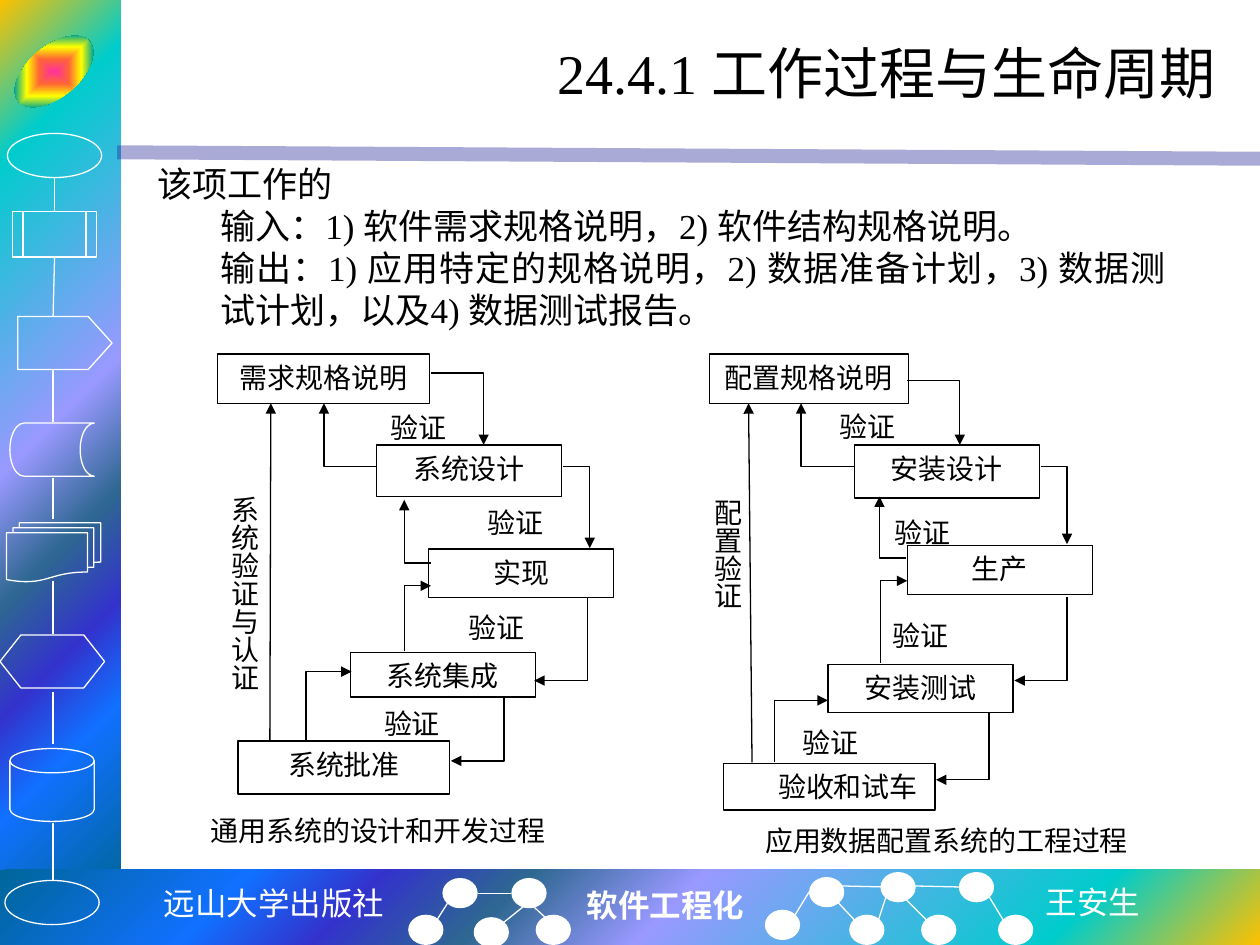
import pptx
import pptx.dml.color
import pptx.enum.shapes
import pptx.enum.text
import pptx.oxml
import pptx.oxml.ns
import pptx.util
from lxml import etree

Cm, Pt = pptx.util.Cm, pptx.util.Pt
SHAPE = pptx.enum.shapes.MSO_SHAPE
ALIGN = pptx.enum.text.PP_ALIGN
ANCHOR = pptx.enum.text.MSO_ANCHOR
qn = pptx.oxml.ns.qn

SERIF, SANS, MONO = "Times New Roman", "Noto Sans CJK SC", "Noto Sans Mono"
BLACK, WHITE = "000000", "FFFFFF"
SPECTRUM = [(0, "FFC000"), (16, "00CCCC"), (47, "9999FF"), (60, "2E6792"),
            (71, "3333CC"), (81, "1170FF"), (100, "006699")]
RAINBOW = [(0, "FF3399"), (25, "FF6633"), (50, "FFFF00"), (75, "01A78F"), (100, "3366FF")]


def color(value):
    return pptx.dml.color.RGBColor.from_string(value)


def add_arrowhead(shape):
    etree.SubElement(shape.line._get_or_add_ln(), qn("a:tailEnd"), type="triangle")


class SlideBuilder:
    def __init__(self, slide):
        self.slide = slide
        self.shapes = slide.shapes
        self.line_width = Pt(0.75)

    def shape(self, kind, box, fill=None, line=None):
        shape = self.shapes.add_shape(kind, *map(Cm, box))
        self.paint(shape, fill, line)
        return shape

    def paint(self, shape, fill, line):
        shape.shadow.inherit = False
        if fill:
            shape.fill.solid()
            shape.fill.fore_color.rgb = color(fill)
        else:
            shape.fill.background()
        if line:
            shape.line.color.rgb = color(line)
            shape.line.width = self.line_width
        else:
            shape.line.fill.background()

    def gradient(self, kind, box, stops, shade, focus, line=None):
        """Fill a shape outward from focus, given as left, top, right, bottom percent."""
        shape = self.shape(kind, box, line=line)
        marks = "".join(f'<a:gs pos="{position * 1000}"><a:srgbClr val="{value}"/></a:gs>'
                        for position, value in stops)
        sides = " ".join(f'{side}="{percent * 1000}"' for side, percent in zip("ltrb", focus))
        fill = pptx.oxml.parse_xml(
            f'<a:gradFill {pptx.oxml.ns.nsdecls("a")} rotWithShape="1"><a:gsLst>{marks}</a:gsLst>'
            f'<a:path path="{shade}"><a:fillToRect {sides}/></a:path></a:gradFill>')
        properties = shape._element.spPr
        properties.replace(properties.find(qn("a:noFill")), fill)
        return shape

    def line(self, points, value, width=None, arrow=False):
        connector = self.shapes.add_connector(
            pptx.enum.shapes.MSO_CONNECTOR.STRAIGHT, *map(Cm, points))
        connector.line.color.rgb = color(value)
        connector.line.width = width or self.line_width
        if arrow:
            add_arrowhead(connector)
        etree.SubElement(connector._element.spPr, qn("a:effectLst"))
        return connector

    def elbow(self, start_x, start_y, end_x, end_y, across_first):
        """Draw an arrow with one right-angle bend."""
        bend = (end_x, start_y) if across_first else (start_x, end_y)
        builder = self.shapes.build_freeform(Cm(start_x), Cm(start_y))
        builder.add_line_segments([tuple(map(Cm, point)) for point in (bend, (end_x, end_y))],
                                  close=False)
        shape = builder.convert_to_shape()
        self.paint(shape, None, BLACK)
        add_arrowhead(shape)

    def set_text(self, shape, lines, size, font=SERIF, value=BLACK, align=ALIGN.CENTER,
                 anchor=ANCHOR.TOP, bold=False, wrap=True):
        frame = shape.text_frame
        frame.text = "\n".join(lines)
        frame.word_wrap = wrap
        frame.vertical_anchor = anchor
        for paragraph in frame.paragraphs:
            paragraph.alignment = align
            paragraph.font.name = font
            paragraph.font.size = Pt(size)
            paragraph.font.bold = bold
            paragraph.font.color.rgb = color(value)
        return frame

    def text(self, box, lines, size=16, **style):
        return self.set_text(self.shapes.add_textbox(*map(Cm, box)), lines, size, **style)

    def box(self, box, label):
        return self.set_text(self.shape(SHAPE.RECTANGLE, box, line=BLACK), [label], 16)


def draw_frame(builder):
    builder.gradient(SHAPE.RECTANGLE, (0, 0, 2.44, 18.01), SPECTRUM, "circle", (0, 0, 100, 100))
    builder.gradient(SHAPE.RECTANGLE, (0, 17.53, 25.4, 1.52), SPECTRUM, "circle",
                     (100, 100, 0, 0))
    band = builder.line((2.36, 3.07, 25.4, 3.2), "262699", Pt(8))
    band_color = band._element.spPr.find(".//" + qn("a:srgbClr"))
    etree.SubElement(band_color, qn("a:alpha"), val="39000")
    emblem = builder.gradient(SHAPE.OVAL, (0.15, 0.93, 1.88, 1.02), RAINBOW, "shape",
                              (50, 50, 50, 50))
    emblem.rotation = -40


def draw_sidebar(builder):
    process = builder.shape(SHAPE.FLOWCHART_PREDEFINED_PROCESS, (0.25, 4.27, 1.7, 0.91),
                            line=WHITE)
    pentagon = builder.shape(SHAPE.PENTAGON, (0.36, 6.38, 1.9, 1.07), line=WHITE)
    pentagon.adjustments[0] = 0.45
    for kind, box in [
        (SHAPE.OVAL, (0.15, 2.69, 1.9, 0.89)),
        (SHAPE.FLOWCHART_STORED_DATA, (0.2, 8.53, 1.7, 1.07)),
        (SHAPE.FLOWCHART_MULTIDOCUMENT, (0.13, 10.54, 1.9, 1.19)),
        (SHAPE.FLOWCHART_PREPARATION, (0, 12.8, 2.11, 1.07)),
        (SHAPE.FLOWCHART_MAGNETIC_DISK, (0.2, 15.09, 1.7, 1.47)),
        (SHAPE.OVAL, (0.1, 17.75, 1.9, 0.89)),
    ]:
        builder.shape(kind, box, line=WHITE)
    builder.line((1.1, 3.58, 1.1, 4.27), WHITE).end_connect(process, 0)
    builder.line((1.1, 5.18, 1.07, 6.38), WHITE).begin_connect(process, 2)
    for top, bottom in [(7.44, 8.51), (9.63, 10.46), (11.71, 12.78), (13.94, 14.99),
                        (16.59, 17.75)]:
        builder.line((1.07, top, 1.07, bottom), WHITE)


def draw_footer(builder):
    for left, top in [(8.92, 17.7), (10.31, 17.7), (8.23, 18.44), (9.55, 18.49), (10.8, 18.44),
                      (16.31, 17.68), (17.75, 17.58), (19.33, 17.58), (15.42, 18.34),
                      (17.12, 18.44), (18.57, 18.44), (20.12, 18.44)]:
        builder.shape(SHAPE.OVAL, (left, top, 0.71, 0.61), fill=WHITE)
    for points in [
        (8.81, 18.54, 9.02, 18.21), (10.16, 18.59, 10.57, 18.26), (10.31, 18.01, 9.63, 18.01),
        (11.02, 18.52, 10.77, 18.29), (17.22, 18.54, 16.89, 18.19), (18.67, 18.54, 18.16, 18.03),
        (20.22, 18.54, 19.94, 18.08), (17.7, 18.57, 17.86, 18.08), (18.44, 17.86, 19.33, 17.88),
        (16.03, 18.44, 16.31, 17.98), (16.97, 17.86, 17.86, 17.88),
    ]:
        builder.line(points, WHITE)
    footer_style = dict(size=18, value=WHITE, wrap=False)
    builder.text((3.02, 17.7, 5, 1.02), ["远山大学出版社"], font=MONO, **footer_style)
    builder.text((11.58, 17.73, 3.71, 1.02), ["软件工程化"], bold=True, align=ALIGN.LEFT,
                 **footer_style)
    builder.text((20.83, 17.68, 2.44, 1.02), ["王安生"], font=SANS, align=ALIGN.LEFT,
                 **footer_style)


def draw_process(builder, boxes, across, down, overall, side, checks, caption):
    """Draw one life cycle: steps, bent arrows, overall check arrow and labels."""
    frames = [builder.box(box, label) for label, box in boxes]
    for across_first, routes in ((True, across), (False, down)):
        for route in routes:
            builder.elbow(*route, across_first)
    builder.line(overall, BLACK, arrow=True)
    side_label, side_box = side
    builder.text(side_box, [side_label])._bodyPr.set("vert", "eaVert")
    for left, top in checks:
        builder.text((left, top, 2.13, 1.24), ["验证"])
    caption_label, caption_box = caption
    builder.text(caption_box, [caption_label], font=SANS)
    return frames


def main():
    presentation = pptx.Presentation()
    presentation.slide_width, presentation.slide_height = Cm(25.4), Cm(19.05)
    builder = SlideBuilder(presentation.slides.add_slide(presentation.slide_layouts[6]))
    draw_frame(builder)
    draw_sidebar(builder)
    draw_footer(builder)
    builder.text((3.18, 0.43, 21.59, 2.06), ["24.4.1 工作过程与生命周期"], 32,
                 align=ALIGN.RIGHT, anchor=ANCHOR.MIDDLE)
    draw_process(
        builder,
        boxes=[("需求规格说明", (4.39, 7.14, 4.27, 0.99)), ("系统设计", (7.59, 8.97, 3.73, 1.04)),
               ("实现", (8.64, 11.07, 3.73, 0.97)), ("系统集成", (7.06, 13.16, 3.73, 0.89)),
               ("系统批准", (4.8, 14.94, 4.27, 1.07))],
        across=[(8.69, 7.52, 9.75, 8.97), (11.35, 9.4, 11.89, 11.05),
                (8.69, 11.35, 8.15, 10.08), (7.59, 9.4, 6.53, 8.13)],
        down=[(11.84, 12.04, 10.77, 13.72), (8.15, 13.13, 8.69, 11.81),
              (6.17, 14.94, 7.09, 13.54), (10.16, 14.05, 9.09, 15.34)],
        overall=(5.44, 14.94, 5.46, 8.13),
        side=("系统验证与认证", (3.76, 9.75, 1.63, 5)),
        checks=[(7.37, 8.15), (9.32, 10.06), (8.94, 12.19), (7.24, 14.12)],
        caption=("通用系统的设计和开发过程", (3.61, 16.28, 8.03, 1.3)))
    frames = draw_process(
        builder,
        boxes=[("配置规格说明", (14.3, 7.14, 4.01, 0.99)), ("安装设计", (17.22, 8.97, 3.73, 1.07)),
               ("生产", (18.29, 11, 3.73, 0.99)), ("安装测试", (16.69, 13.39, 3.73, 0.97)),
               ("验收和试车", (14.58, 15.39, 4.27, 0.94))],
        across=[(18.29, 7.67, 19.35, 8.97), (20.98, 9.4, 21.51, 10.97),
                (18.26, 11.25, 17.73, 10.01), (17.22, 9.4, 16.15, 8.13)],
        down=[(21.51, 12.04, 20.45, 13.72), (17.75, 13.36, 18.29, 11.71),
              (15.62, 15.37, 16.69, 14.12), (19.94, 14.35, 18.87, 15.72)],
        overall=(15.16, 15.37, 15.09, 8.13),
        side=("配置验证", (13.49, 9.8, 1.63, 4.75)),
        checks=[(16.43, 8.13), (17.53, 10.26), (17.5, 12.34), (15.67, 14.5)],
        caption=("应用数据配置系统的工程过程", (14.88, 16.48, 8.41, 1.24)))
    frames[-1].paragraphs[0]._p.get_or_add_pPr().set("indent", str(Cm(0.76)))

    body = builder.text((2.92, 3.15, 20.83, 3.68), [
        "该项工作的", "输入：1) 软件需求规格说明，2) 软件结构规格说明。",
        "输出：1) 应用特定的规格说明，2) 数据准备计划，3) 数据测试计划，以及4) 数据测试报告。",
    ], 20, align=ALIGN.JUSTIFY)
    for paragraph in body.paragraphs:
        paragraph.line_spacing = Pt(24)
    for paragraph in body.paragraphs[1:]:
        paragraph.level = 1
        paragraph._p.get_or_add_pPr().set("marL", str(Cm(1.27)))
        paragraph._p.get_or_add_pPr().set("indent", "0")
    presentation.save("out.pptx")


if __name__ == "__main__":
    main()
